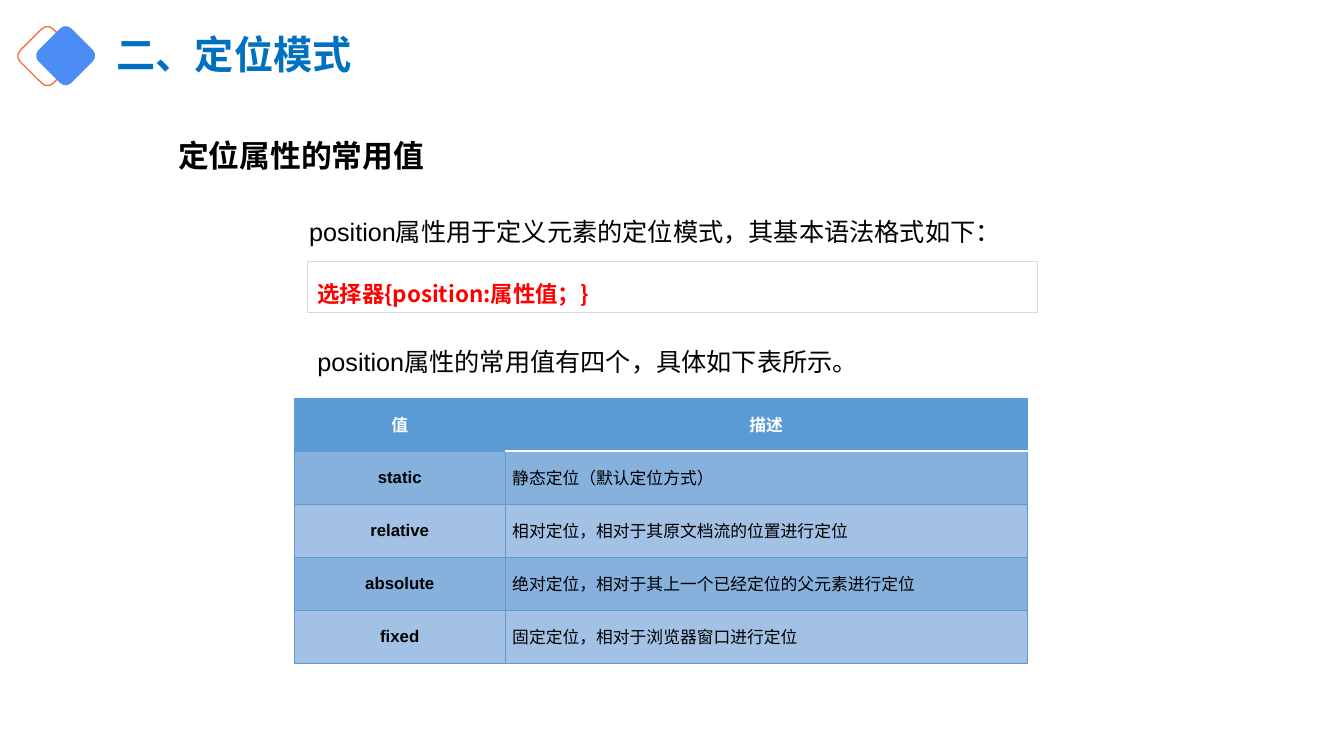
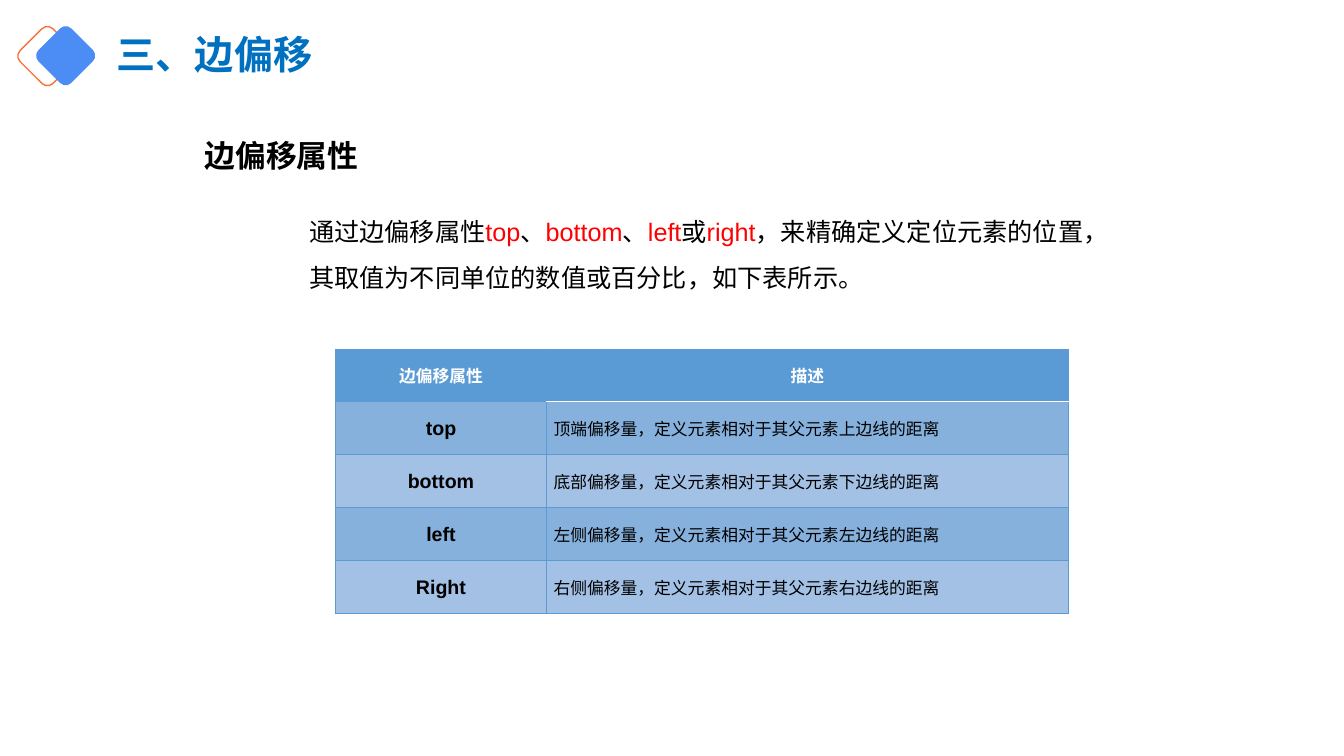
from lxml import etree
from pptx import Presentation
from pptx.dml.color import RGBColor
from pptx.enum.shapes import MSO_SHAPE
from pptx.enum.text import MSO_ANCHOR, MSO_AUTO_SIZE, PP_ALIGN
from pptx.oxml.ns import qn
from pptx.util import Cm, Pt

ROUND_RECT, RECT = MSO_SHAPE.ROUNDED_RECTANGLE, MSO_SHAPE.RECTANGLE
TOP, MIDDLE = MSO_ANCHOR.TOP, MSO_ANCHOR.MIDDLE
LEFT, CENTER = PP_ALIGN.LEFT, PP_ALIGN.CENTER
GROW = MSO_AUTO_SIZE.SHAPE_TO_FIT_TEXT

LATIN, CJK = "Arial", "Noto Sans CJK SC"
BLACK, WHITE, RED = "000000", "FFFFFF", "FF0000"
TITLE_BLUE, DIAMOND_BLUE, ORANGE = "0070C0", "4C8CF5", "FD703B"
TABLE_BLUE, GREY = "5B9BD5", "D9D9D9"
BANDS = ("86B1DD", "A3C0E5")
COL_WIDTHS = (5.31, 13.16)
ROW_HEIGHT = 1.335


def rgb(color):
    return RGBColor.from_string(color)


def add_run(p, text, size, color=BLACK, bold=False, font=LATIN):
    r = p.add_run()
    r.text = text
    r.font.size = Pt(size)
    r.font.bold = bold
    r.font.name = font
    r.font.color.rgb = rgb(color)
    ea = etree.SubElement(r._r.get_or_add_rPr(), qn("a:ea"))
    ea.set("typeface", CJK)


def add_text(s, box, runs, spacing=1.0, anchor=TOP):
    """Add a text box; each run is the argument list of add_run."""
    tf = s.shapes.add_textbox(*map(Cm, box)).text_frame
    tf.word_wrap = True
    tf.vertical_anchor = anchor
    p = tf.paragraphs[0]
    p.line_spacing = spacing
    for run in runs:
        add_run(p, *run)


def add_box(s, kind, box, fill=None, line=None, width=1):
    sp = s.shapes.add_shape(kind, *map(Cm, box))
    sp.shadow.inherit = False
    if fill:
        sp.fill.solid()
        sp.fill.fore_color.rgb = rgb(fill)
    else:
        sp.fill.background()
    if line:
        sp.line.color.rgb = rgb(line)
        sp.line.width = Pt(width)
    else:
        sp.line.fill.background()
    return sp


def add_slide(prs, title, heading, heading_left):
    s = prs.slides.add_slide(prs.slide_layouts[6])
    add_box(s, ROUND_RECT, (0.61, 0.83, 1.17, 1.17), line=ORANGE).rotation = 45
    add_box(s, ROUND_RECT, (1.07, 0.82, 1.17, 1.17), fill=DIAMOND_BLUE).rotation = 45
    add_text(s, (2.69, 0.43, 13.03, 2.01), [(title, 28, TITLE_BLUE, True, CJK)],
             spacing=0.9, anchor=MIDDLE)
    add_text(s, (heading_left, 3.33, 17.8, 1.19), [(heading, 22, BLACK, True, CJK)])
    return s


def add_syntax(s, box, text):
    sp = add_box(s, RECT, box, WHITE, GREY, 0.75)
    tf = sp.text_frame
    tf.word_wrap = True
    tf.auto_size = GROW
    tf.vertical_anchor = TOP
    p = tf.paragraphs[0]
    p.alignment = LEFT
    p.line_spacing = 1.5
    add_run(p, text, 16, RED, True, CJK)


def set_borders(cell, white_side=None):
    """Draw blue borders, with one side white if it is named."""
    tc_pr = cell._tc.get_or_add_tcPr()
    for i, side in enumerate(("lnL", "lnR", "lnT", "lnB")):
        white = side == white_side
        ln = etree.Element(qn("a:" + side), w=str(Pt(1 if white else 0.5)))
        fill = etree.SubElement(ln, qn("a:solidFill"))
        etree.SubElement(fill, qn("a:srgbClr"), val=WHITE if white else TABLE_BLUE)
        tc_pr.insert(i, ln)


def fill_cell(cell, text, size, color, bold, align, fill):
    cell.margin_left = cell.margin_right = Cm(0.18)
    cell.margin_top = cell.margin_bottom = 0
    cell.vertical_anchor = MIDDLE
    cell.fill.solid()
    cell.fill.fore_color.rgb = rgb(fill)
    p = cell.text_frame.paragraphs[0]
    p.alignment = align
    add_run(p, text, size, color, bold)


def add_value_table(s, left, top, rows, name_size):
    """Add a table of names and descriptions; the first row is the header."""
    table = s.shapes.add_table(len(rows), len(COL_WIDTHS), Cm(left), Cm(top),
                               Cm(sum(COL_WIDTHS)), Cm(ROW_HEIGHT * len(rows))).table
    for col, width in zip(table.columns, COL_WIDTHS):
        col.width = Cm(width)
    for i, row in enumerate(rows):
        table.rows[i].height = Cm(ROW_HEIGHT)
        for j, text in enumerate(row):
            cell = table.cell(i, j)
            if i == 0:
                fill_cell(cell, text, 12, WHITE, True, CENTER, TABLE_BLUE)
            else:
                name = j == 0
                fill_cell(cell, text, name_size if name else 12, BLACK, name,
                          CENTER if name else LEFT, BANDS[(i - 1) % 2])
            set_borders(cell, {(0, 1): "lnB", (1, 1): "lnT"}.get((i, j)))


def build_modes(prs):
    s = add_slide(prs, "二、定位模式", "定位属性的常用值", 4.24)
    add_text(s, (7.54, 4.95, 20.7, 1.4),
             [("position属性用于定义元素的定位模式，其基本语法格式如下：", 18)], spacing=1.5)
    add_syntax(s, (7.75, 6.6, 18.39, 1.27), "选择器{position:属性值；}")
    add_text(s, (7.75, 8.61, 14.5, 1.02),
             [("position属性的常用值有四个，具体如下表所示。", 18)])
    add_value_table(s, 7.42, 10.03, [
        ("值", "描述"),
        ("static", "静态定位（默认定位方式）"),
        ("relative", "相对定位，相对于其原文档流的位置进行定位"),
        ("absolute", "绝对定位，相对于其上一个已经定位的父元素进行定位"),
        ("fixed", "固定定位，相对于浏览器窗口进行定位"),
    ], name_size=12)


def build_offsets(prs):
    s = add_slide(prs, "三、边偏移", "边偏移属性", 4.91)
    add_text(s, (7.54, 4.95, 20.7, 2.57), [
        ("通过边偏移属性", 18),
        ("top", 18, RED), ("、", 18),
        ("bottom", 18, RED), ("、", 18),
        ("left", 18, RED), ("或", 18),
        ("right", 18, RED),
        ("，来精确定义定位元素的位置，其取值为不同单位的数值或百分比，如下表所示。", 18),
    ], spacing=1.5)
    sides = (("top", "顶端", "上"), ("bottom", "底部", "下"),
             ("left", "左侧", "左"), ("Right", "右侧", "右"))
    rows = [(name, f"{place}偏移量，定义元素相对于其父元素{edge}边线的距离")
            for name, place, edge in sides]
    add_value_table(s, 8.46, 8.79, [("边偏移属性", "描述")] + rows, name_size=14)


def main():
    prs = Presentation()
    prs.slide_width, prs.slide_height = Cm(33.87), Cm(19.05)
    build_modes(prs)
    build_offsets(prs)
    prs.save("out.pptx")


if __name__ == "__main__":
    main()
